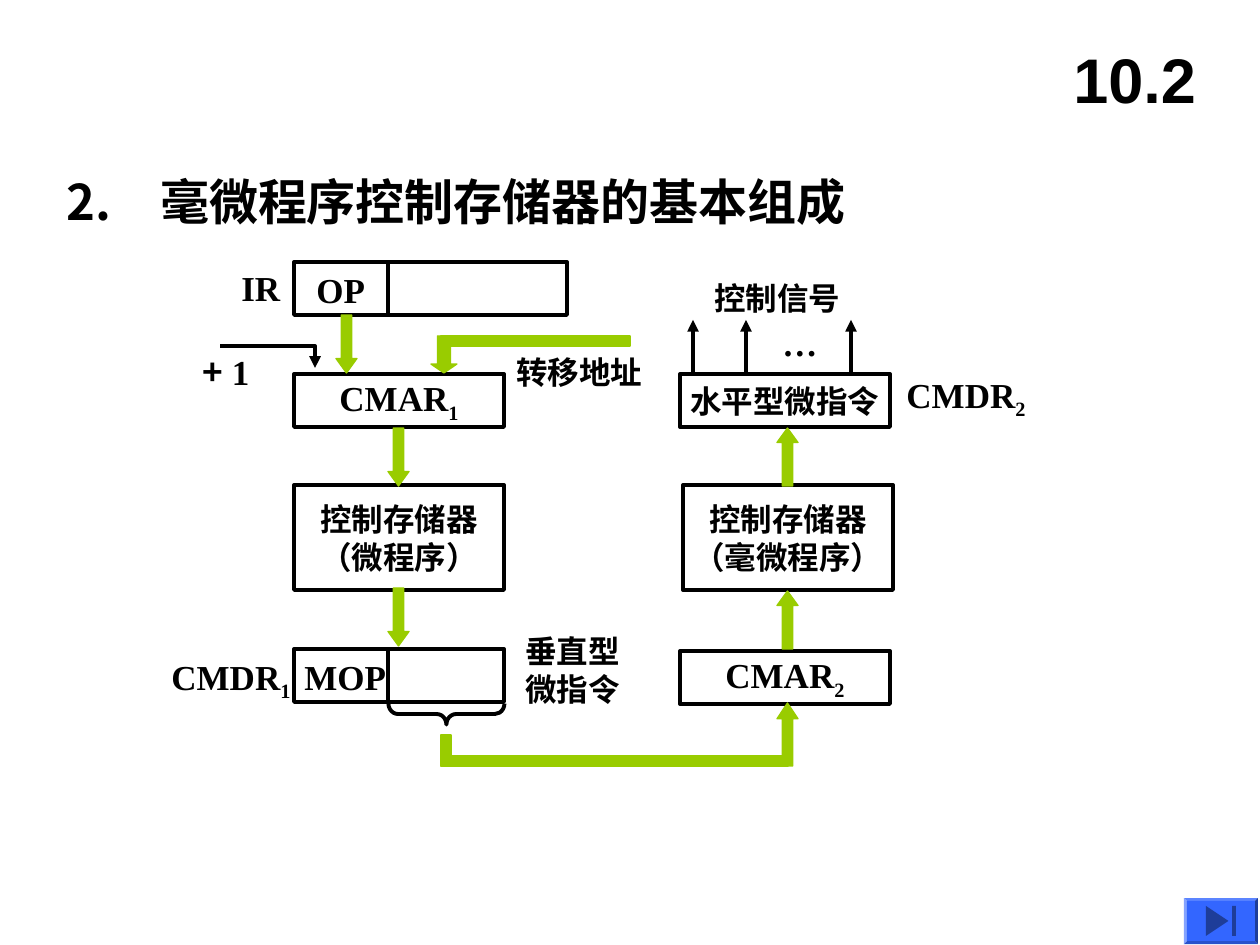
from dataclasses import dataclass

from lxml import etree
from pptx import Presentation
from pptx.dml.color import RGBColor
from pptx.enum.shapes import MSO_CONNECTOR, MSO_SHAPE
from pptx.enum.text import MSO_ANCHOR, PP_ALIGN
from pptx.oxml.ns import qn
from pptx.util import Emu, Pt

RECT, BRACE = MSO_SHAPE.RECTANGLE, MSO_SHAPE.LEFT_BRACE
DOWN, UP = MSO_SHAPE.DOWN_ARROW, MSO_SHAPE.UP_ARROW
BEVEL, BUTTON = MSO_SHAPE.BEVEL, MSO_SHAPE.ACTION_BUTTON_END
STRAIGHT = MSO_CONNECTOR.STRAIGHT
LEFT, CENTER = PP_ALIGN.LEFT, PP_ALIGN.CENTER
TOP, MIDDLE = MSO_ANCHOR.TOP, MSO_ANCHOR.MIDDLE


@dataclass(frozen=True)
class Theme:
    ink: RGBColor = RGBColor(0, 0, 0)
    flow: RGBColor = RGBColor(0x99, 0xCC, 0x00)
    button: RGBColor = RGBColor(0x33, 0x66, 0xFF)
    latin: str = "Times New Roman"
    chinese: str = "Noto Sans CJK SC"
    heading: str = "Arial"
    section: int = 36
    title: int = 28
    register: int = 20
    caption: int = 18
    stroke: float = 2.25
    hairline: float = 0.75


THEME = Theme()
PX = 914400 / 126
LEFT_COLUMN, RIGHT_COLUMN, BOX_WIDTH, BOX_HEIGHT = 294, 680, 210, 53
IR_TOP, ADDRESS_TOP, MEMORY_TOP, DATA_TOP = 262, 374, 485, 649
DIVIDER = 388
ARROW_WIDTH, ARROW_HEIGHT = 21, 58
BAR = 10
BUTTON_EDGE = 3
SUBSCRIPT = {"baseline": -25000}

BOXES = [
    (LEFT_COLUMN, IR_TOP, 273, BOX_HEIGHT, [], THEME.register),
    (LEFT_COLUMN, ADDRESS_TOP, BOX_WIDTH, BOX_HEIGHT, [["CMAR", ("1", SUBSCRIPT)]], THEME.register),
    (LEFT_COLUMN, MEMORY_TOP, BOX_WIDTH, 105, [["控制存储器"], ["（微程序）"]], THEME.caption),
    (LEFT_COLUMN, DATA_TOP, BOX_WIDTH, BOX_HEIGHT, [], THEME.register),
    (RIGHT_COLUMN, ADDRESS_TOP, BOX_WIDTH, BOX_HEIGHT, [["水平型微指令"]], THEME.caption),
    (RIGHT_COLUMN + 3, MEMORY_TOP, BOX_WIDTH, 105, [["控制存储器"], ["（毫微程序）"]], THEME.caption),
    (RIGHT_COLUMN, DATA_TOP + 2, BOX_WIDTH, BOX_HEIGHT, [["CMAR", ("2", SUBSCRIPT)]], THEME.register),
]
LABELS = [
    (229, 260, 76, 55, [["IR"]], THEME.register),
    (304, 262, 84, 55, [["OP"]], THEME.register),
    (190, 344, 84, 55, [[("+", {"name": THEME.chinese}), " 1"]], THEME.register),
    (504, 347, 163, 50, [["转移地址"]], THEME.caption),
    (159, 649, 160, 60, [["CMDR", ("1", SUBSCRIPT)]], THEME.register),
    (292, 649, 119, 55, [["MOP"]], THEME.register),
    (513, 626, 132, 88, [["垂直型"], ["微指令"]], THEME.caption),
    (702, 273, 163, 50, [["控制信号"]], THEME.caption),
    (770, 315, 72, 55, [["…"]], THEME.register),
    (894, 367, 160, 60, [["CMDR", ("2", SUBSCRIPT)]], THEME.register),
]
FLOW_ARROWS = [
    (DOWN, 336, 315, ARROW_WIDTH, ARROW_HEIGHT, 0.69),
    (DOWN, 388, 428, ARROW_WIDTH, ARROW_HEIGHT, 0.69),
    (DOWN, 388, 588, ARROW_WIDTH, ARROW_HEIGHT, 0.69),
    (DOWN, 431, 336, 26, 37, 0.34),
    (UP, 777, 428, ARROW_WIDTH, ARROW_HEIGHT, 0.69),
    (UP, 777, 591, ARROW_WIDTH, ARROW_HEIGHT, 0.69),
    (UP, 777, 703, ARROW_WIDTH, 63, 0.75),
]
FLOW_BARS = [(441, 336, 189, BAR), (441, 735, BAR, 31), (441, 756, 347, BAR)]
SIGNAL_XS = (693, 746, 851)
SIGNAL_BOTTOM, SIGNAL_TOP = 373, 320
INCREMENT_ROUTE = [(220, 346), (315, 346), (315, 368)]


def emu(*lengths):
    return [Emu(round(length * PX)) for length in lengths]


def write(frame, lines, *, size, name=THEME.latin, align=LEFT, anchor=TOP, wrap=False):
    frame.word_wrap = wrap
    frame.vertical_anchor = anchor
    for index, line in enumerate(lines):
        para = frame.paragraphs[0] if index == 0 else frame.add_paragraph()
        para.alignment = align
        for piece in line:
            words, changes = (piece, {}) if isinstance(piece, str) else piece
            span = para.add_run()
            span.text = words
            span.font.size = Pt(size)
            span.font.bold = True
            span.font.color.rgb = THEME.ink
            span.font.name = changes.get("name", name)
            properties = span.font._element
            etree.SubElement(properties, qn("a:ea")).set("typeface", THEME.chinese)
            if "baseline" in changes:
                properties.set("baseline", str(changes["baseline"]))


def add_label(page, left, top, width, height, lines, **style):
    box = page.shapes.add_textbox(*emu(left, top, width, height))
    write(box.text_frame, lines, **style)


def style_shape(shape, fill=None, line=THEME.ink, weight=THEME.stroke):
    shape.shadow.inherit = False
    if fill is None:
        shape.fill.background()
    else:
        shape.fill.solid()
        shape.fill.fore_color.rgb = fill
    if line is None:
        shape.line.fill.background()
    else:
        shape.line.color.rgb = line
        shape.line.width = Pt(weight)


def add_block(page, kind, left, top, width, height, **style):
    shape = page.shapes.add_shape(kind, *emu(left, top, width, height))
    style_shape(shape, **style)
    return shape


def add_arrowhead(shape):
    etree.SubElement(shape.line._get_or_add_ln(), qn("a:tailEnd")).set("type", "triangle")


def add_line(page, start, end, arrow=False):
    line = page.shapes.add_connector(STRAIGHT, *emu(*start, *end))
    line.line.color.rgb = THEME.ink
    line.line.width = Pt(THEME.stroke)
    if arrow:
        add_arrowhead(line)
    etree.SubElement(line._element.spPr, qn("a:effectLst"))


def add_end_button(page, left, top, width, height):
    blue = {"fill": THEME.button, "line": None}
    frame = add_block(page, BEVEL, left, top, width, height, **blue)
    frame.adjustments[0] = BUTTON_EDGE / height
    add_block(page, BUTTON, left + BUTTON_EDGE, top + BUTTON_EDGE,
              width - 2 * BUTTON_EDGE, height - 2 * BUTTON_EDGE, **blue)


def main():
    deck = Presentation()
    deck.slide_width, deck.slide_height = emu(1260, 945)
    page = deck.slides.add_slide(deck.slide_layouts[6])

    add_label(page, 54, 165, 1012, 72, [["2.　毫微程序控制存储器的基本组成"]],
              size=THEME.title, name=THEME.chinese, wrap=True)
    add_label(page, 1061, 20, 199, 116, [["10.2"]],
              size=THEME.section, name=THEME.heading, anchor=MIDDLE, wrap=True)

    for left, top, width, height, lines, size in BOXES:
        box = add_block(page, RECT, left, top, width, height)
        write(box.text_frame, lines, size=size, align=CENTER, anchor=MIDDLE)
    for top in (IR_TOP, DATA_TOP):
        add_line(page, (DIVIDER, top), (DIVIDER, top + BOX_HEIGHT))

    green = {"fill": THEME.flow, "line": THEME.flow, "weight": THEME.hairline}
    for kind, left, top, width, height, head in FLOW_ARROWS:
        arrow = add_block(page, kind, left, top, width, height, **green)
        arrow.adjustments[0] = 0.5
        arrow.adjustments[1] = head
    for bar in FLOW_BARS:
        add_block(page, RECT, *bar, **green)

    brace = add_block(page, BRACE, 436, 656, 21, 116)
    brace.rotation = 270
    brace.adjustments[0] = 0.46

    for x in SIGNAL_XS:
        add_line(page, (x, SIGNAL_BOTTOM), (x, SIGNAL_TOP), arrow=True)
    builder = page.shapes.build_freeform(*INCREMENT_ROUTE[0], scale=PX)
    builder.add_line_segments(INCREMENT_ROUTE[1:], close=False)
    route = builder.convert_to_shape()
    style_shape(route)
    add_arrowhead(route)

    for left, top, width, height, lines, size in LABELS:
        add_label(page, left, top, width, height, lines, size=size)

    add_end_button(page, 1184, 898, 74, 46)
    deck.save("out.pptx")


if __name__ == "__main__":
    main()
